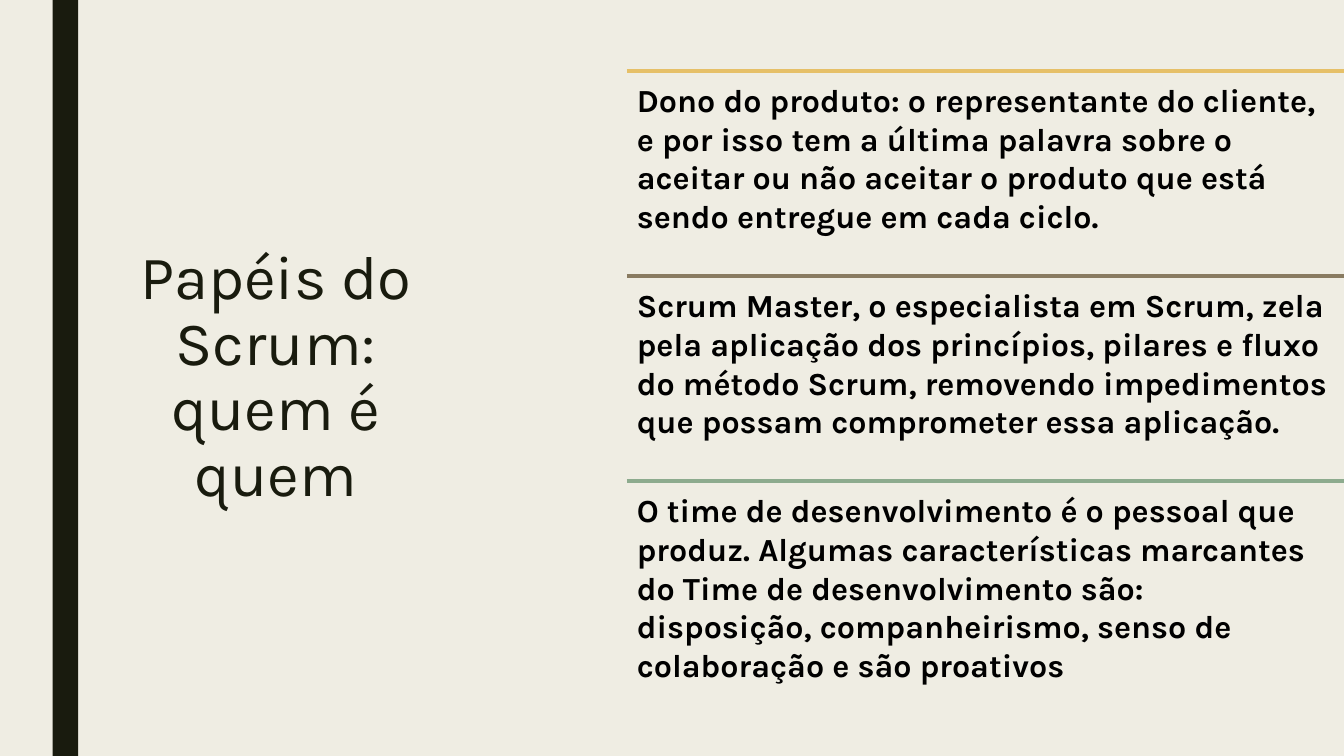
from dataclasses import dataclass

from lxml.etree import SubElement
from pptx import Presentation
from pptx.dml.color import RGBColor
from pptx.enum.shapes import MSO_CONNECTOR, MSO_SHAPE
from pptx.enum.text import MSO_ANCHOR, PP_ALIGN
from pptx.oxml.ns import qn
from pptx.util import Cm, Pt


@dataclass(frozen=True)
class Theme:
    background: str = "EFEDE3"
    dark: str = "191B0E"
    body: str = "000000"
    rules: tuple = ("E6C068", "897B61", "8DAB8E")
    font: str = "Karla"
    title_size: float = 44
    body_size: float = 23
    rule_width: float = 2.75


THEME = Theme()
SLIDE_WIDTH, SLIDE_HEIGHT = Cm(33.87), Cm(19.05)
TITLE = "Papéis do Scrum: quem é quem"
ROLES = (
    "Dono do produto: o representante do cliente, e por isso tem a última palavra "
    "sobre o aceitar ou não aceitar o produto que está sendo entregue em cada ciclo.",
    "Scrum Master, o especialista em Scrum, zela pela aplicação dos princípios, "
    "pilares e fluxo do método Scrum, removendo impedimentos que possam "
    "comprometer essa aplicação.",
    "O time de desenvolvimento é o pessoal que produz. Algumas características "
    "marcantes do Time de desenvolvimento são:  disposição, companheirismo, "
    "senso de colaboração e são proativos",
)


def set_all(target, values):
    for name, value in values.items():
        setattr(target, name, value)


def add_text(slide, box, text, margin, anchor, paragraph_format, size, color, bold):
    frame = slide.shapes.add_textbox(*box).text_frame
    set_all(frame, {
        "word_wrap": True,
        "vertical_anchor": anchor,
        "margin_left": margin,
        "margin_top": margin,
        "margin_right": margin,
        "margin_bottom": margin,
    })
    paragraph = frame.paragraphs[0]
    set_all(paragraph, paragraph_format)
    run = paragraph.add_run()
    run.text = text
    set_all(run.font, {"name": THEME.font, "size": Pt(size), "bold": bold})
    run.font.color.rgb = RGBColor.from_string(color)


def add_side_bar(slide, box):
    bar = slide.shapes.add_shape(MSO_SHAPE.RECTANGLE, *box)
    bar.shadow.inherit = False
    bar.fill.solid()
    bar.fill.fore_color.rgb = RGBColor.from_string(THEME.dark)
    bar.line.fill.background()


def add_title(slide, box):
    centred = {"alignment": PP_ALIGN.CENTER, "line_spacing": 0.89}
    add_text(slide, box, TITLE, 0, MSO_ANCHOR.MIDDLE, centred,
             THEME.title_size, THEME.dark, False)


def add_rule(slide, left, top, width, color):
    rule = slide.shapes.add_connector(
        MSO_CONNECTOR.STRAIGHT, left, top, left + width, top)
    rule.line.width = Pt(THEME.rule_width)
    rule.line.color.rgb = RGBColor.from_string(color)
    SubElement(rule._element.spPr, qn("a:effectLst"))


def add_roles(slide, box):
    """Stack the roles in equal rows, each under its coloured rule."""
    left, top, width, height = box
    row_height = height // len(ROLES)
    for index, (role, color) in enumerate(zip(ROLES, THEME.rules)):
        row_top = top + index * row_height
        add_rule(slide, left, row_top, width, color)
        add_text(slide, (left, row_top, width, row_height), role, Cm(0.25),
                 MSO_ANCHOR.TOP, {"alignment": PP_ALIGN.LEFT},
                 THEME.body_size, THEME.body, True)


def main():
    deck = Presentation()
    set_all(deck, {"slide_width": SLIDE_WIDTH, "slide_height": SLIDE_HEIGHT})
    slide = deck.slides.add_slide(deck.slide_layouts[6])
    slide.background.fill.solid()
    slide.background.fill.fore_color.rgb = RGBColor.from_string(THEME.background)

    content_top, content_height = Cm(1.78), Cm(15.5)
    roles_left = Cm(15.8)
    add_side_bar(slide, (Cm(1.33), 0, Cm(0.64), SLIDE_HEIGHT))
    add_title(slide, (Cm(2.37), content_top, Cm(9.17), content_height))
    add_roles(slide, (roles_left, content_top,
                      SLIDE_WIDTH - roles_left, content_height))
    deck.save("out.pptx")


if __name__ == "__main__":
    main()
